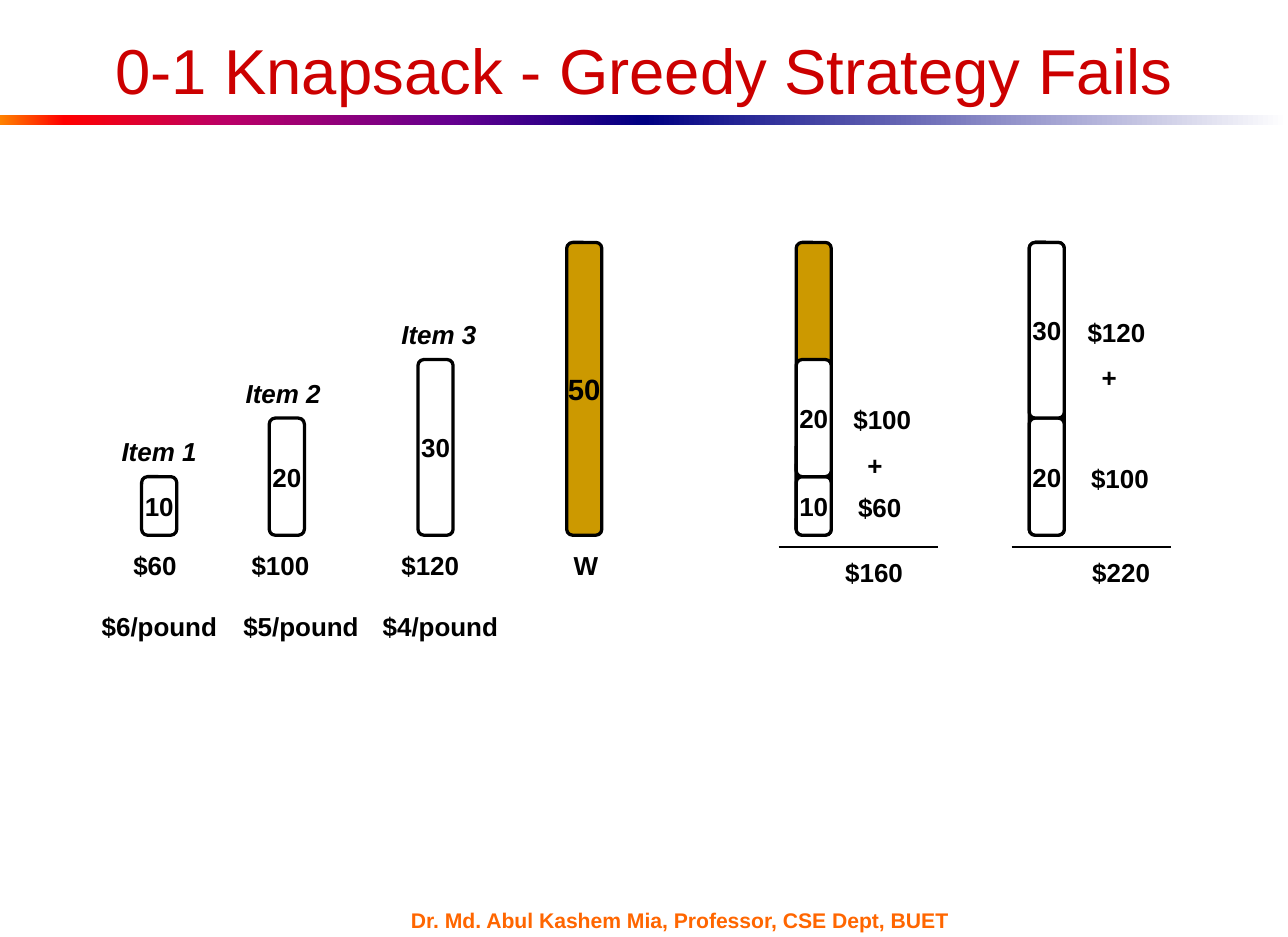
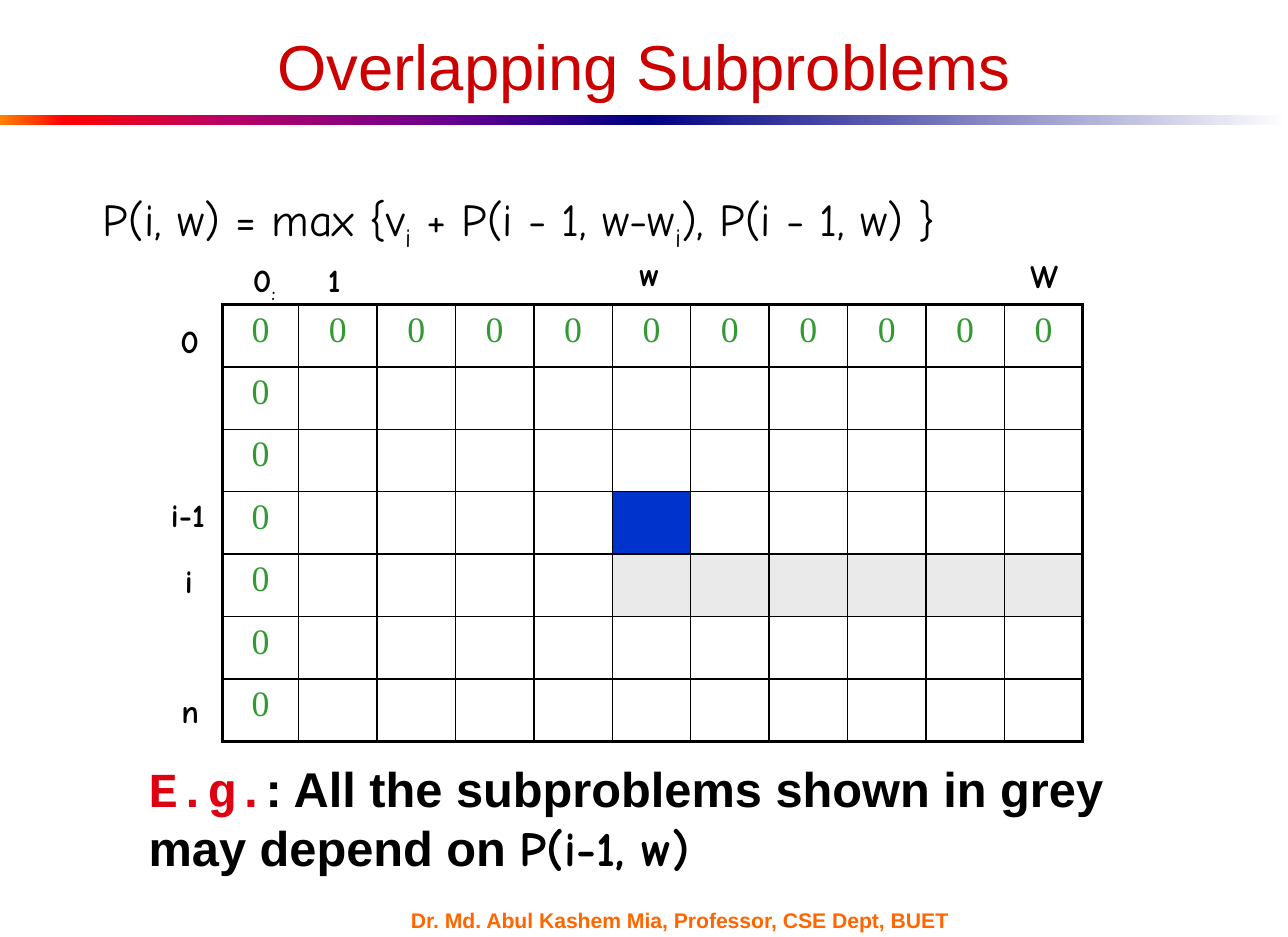
from dataclasses import dataclass

from lxml import etree
from pptx import Presentation
from pptx import util as u
from pptx.dml.color import RGBColor
from pptx.enum import shapes, text
from pptx.oxml import ns


@dataclass(frozen=True)
class Theme:
    sans: str = "Arial"
    hand: str = "Comic Neue"
    serif: str = "Times New Roman"
    mono: str = "Courier New"
    title: str = "CC0000"
    footer: str = "FF6600"
    ink: str = "000000"
    paper: str = "FFFFFF"
    gold: str = "CC9900"
    blue: str = "0033CC"
    grey: str = "EAEAEA"
    green: str = "339933"
    red: str = "DD0111"
    title_size: int = 39
    example_size: int = 30
    formula_size: int = 28
    cell_size: int = 22
    index_size: int = 20
    capacity_size: int = 18
    label_size: int = 16
    footer_size: int = 13


THEME = Theme()
WIDTH, HEIGHT = 11, 8
FOOTER = "Dr. Md. Abul Kashem Mia, Professor, CSE Dept, BUET"
BAND_HALVES = [
    [(0, "FF8200"), (10, "FF0000"), (35, "BA0066"), (70, "66008F"), (100, "000082")],
    [(0, "000082"), (100, "FFFFFF")],
]

# Slide 1: bars are drawn to scale, standing on one floor line.
FLOOR, BAR_WIDTH, INCHES_PER_POUND = 4.57, 0.3, 0.05
CAPACITY = 50
CAPACITY_LEFT = 4.84
# weight, bar left, then (text, left) for the name, value and rate
ITEMS = [
    (10, 1.21, ("Item 1", 0.94), ("$60", 1.04), ("$6/pound", 0.77)),
    (20, 2.3, ("Item 2", 2.0), ("$100", 2.05), ("$5/pound", 1.98)),
    (30, 3.57, ("Item 3", 3.33), ("$120", 3.33), ("$4/pound", 3.17)),
]
# bar left, (total, left), then (weight, value, value left) from the floor up
KNAPSACKS = [
    (6.8, ("$160", 7.12), [(10, "$60", 7.23), (20, "$100", 7.19)]),
    (8.79, ("$220", 9.23), [(20, "$100", 9.22), (30, "$120", 9.19)]),
]

# Slide 2: text pieces are (text, font, colour, is subscript).
FORMULA = [
    (piece, THEME.hand, THEME.ink, piece == "i")
    for piece in ("P(i, w) = max {v", "i", " + P(i - 1, w-w", "i", "), P(i - 1, w) }")
]
EXAMPLE = [
    ("E.g.", THEME.mono, THEME.red, False),
    (": All the subproblems shown in grey may depend on ", THEME.sans, THEME.ink, False),
    ("P(i-1, w)", THEME.hand, THEME.ink, False),
]
CORNER_INDEX = [("0", THEME.hand, THEME.ink, False), (":", THEME.hand, THEME.ink, True)]
INDICES = [
    (CORNER_INDEX, 2.05, 2.17), ("1", 2.69, 2.17), ("w", 5.35, 2.12), ("W", 8.69, 2.14),
    ("0", 1.43, 2.69), ("i-1", 1.35, 4.18), ("i", 1.47, 4.74), ("n", 1.44, 5.85),
]
GRID_LEFT, GRID_TOP, ROWS, ROW_HEIGHT = 1.9, 2.6, 7, 3.73 / 7
COLUMNS = [0.65] + [0.67] * 10
SOURCE_ROW, SOURCE_COLUMN = 3, 5
THIN, THICK = 1, 2.25


def rgb(value):
    return RGBColor.from_string(value)


def set_font(font, size, name=THEME.sans, color=THEME.ink, bold=True, italic=False):
    font.size, font.name = u.Pt(size), name
    font.bold, font.italic = bold, italic
    font.color.rgb = rgb(color)


def add_text(slide, content, left, top, width, height, size, inset=0.1, **style):
    """Add a text box; content is a string or a list of text pieces."""
    box = slide.shapes.add_textbox(*map(u.Inches, (left, top, width, height)))
    frame = box.text_frame
    frame.word_wrap = True
    frame.margin_left = frame.margin_right = u.Inches(inset)
    paragraph = frame.paragraphs[0]
    if isinstance(content, str):
        paragraph.text = content
        set_font(paragraph.font, size, **style)
        return frame
    for piece, name, color, subscript in content:
        run = paragraph.add_run()
        run.text = piece
        set_font(run.font, size, name=name, color=color, **style)
        if subscript:
            run._r.get_or_add_rPr().set("baseline", "-25000")
    return frame


def add_label(slide, content, left, top, **style):
    return add_text(slide, content, left, top, 1.3, 0.37, THEME.label_size, **style)


def add_box(slide, kind, left, top, width, height, color=None, line=None):
    shape = slide.shapes.add_shape(kind, *map(u.Inches, (left, top, width, height)))
    shape.shadow.inherit = False
    if color:
        shape.fill.solid()
        shape.fill.fore_color.rgb = rgb(color)
    if line:
        shape.line.color.rgb = rgb(THEME.ink)
        shape.line.width = u.Pt(line)
    else:
        shape.line.fill.background()
    return shape


def add_bar(slide, weight, left, floor=FLOOR, color=THEME.paper, caption="",
            size=THEME.label_size):
    """Stand a bar on the floor and return its top."""
    height = weight * INCHES_PER_POUND
    bar = add_box(slide, shapes.MSO_SHAPE.ROUNDED_RECTANGLE, left, floor - height,
                  BAR_WIDTH, height, color, line=2)
    bar.adjustments[0] = 0.17
    frame = bar.text_frame
    frame.word_wrap = False
    frame.margin_left = frame.margin_right = 0
    frame.vertical_anchor = text.MSO_ANCHOR.MIDDLE
    paragraph = frame.paragraphs[0]
    paragraph.text = caption
    paragraph.alignment = text.PP_ALIGN.CENTER
    set_font(paragraph.font, size)
    return floor - height


def add_band(slide):
    half = WIDTH / 2
    for index, stops in enumerate(BAND_HALVES):
        shape = add_box(slide, shapes.MSO_SHAPE.RECTANGLE, index * half, 0.98, half, 0.09)
        shape.fill.gradient()
        shape.fill.gradient_angle = 0
        stop_list = shape._element.spPr.find(".//" + ns.qn("a:gsLst"))
        for stop in list(stop_list):
            stop_list.remove(stop)
        for percent, color in stops:
            stop = etree.SubElement(stop_list, ns.qn("a:gs"), pos=str(percent * 1000))
            etree.SubElement(stop, ns.qn("a:srgbClr"), val=color)


def add_slide(presentation, title, title_top):
    slide = presentation.slides.add_slide(presentation.slide_layouts[6])
    add_band(slide)
    footer = add_text(slide, FOOTER, 3.4, 7.76, 5.13, 0.19, THEME.footer_size,
                      inset=0.11, color=THEME.footer)
    footer.vertical_anchor = text.MSO_ANCHOR.MIDDLE
    heading = add_text(slide, title, WIDTH * 0.05, title_top, WIDTH * 0.9, 0.54,
                       THEME.title_size, color=THEME.title, bold=False)
    heading.paragraphs[0].alignment = text.PP_ALIGN.CENTER
    return slide


def add_sum_line(slide, left, top, length):
    line = slide.shapes.add_connector(
        shapes.MSO_CONNECTOR.STRAIGHT, *map(u.Inches, (left, top, left + length, top)))
    line.line.color.rgb = rgb(THEME.ink)
    line.line.width = u.Pt(0.75)
    etree.SubElement(line._element.spPr, ns.qn("a:effectLst"))


def add_plus(frame):
    paragraph = frame.add_paragraph()
    paragraph.text = "+"
    paragraph.space_before = u.Pt(9)
    paragraph._p.get_or_add_pPr().set("marL", str(u.Inches(0.12)))
    set_font(paragraph.font, THEME.label_size)


def build_greedy(presentation):
    slide = add_slide(presentation, "0-1 Knapsack - Greedy Strategy Fails", 0.22)
    for weight, left, (name, name_left), value, rate in ITEMS:
        top = add_bar(slide, weight, left, caption=str(weight))
        add_label(slide, name, name_left, top - 0.4, italic=True)
        for (caption, caption_left), caption_top in ((value, 4.64), (rate, 5.16)):
            add_label(slide, caption, caption_left, caption_top)

    add_bar(slide, CAPACITY, CAPACITY_LEFT, color=THEME.gold, caption=str(CAPACITY),
            size=THEME.capacity_size)
    add_label(slide, "W", 4.8, 4.64)

    for left, (total, total_left), load in KNAPSACKS:
        add_bar(slide, CAPACITY, left, color=THEME.gold)
        floor = FLOOR
        for weight, value, value_left in load:
            top = add_bar(slide, weight, left, floor, caption=str(weight))
            frame = add_label(slide, value, value_left, (top + floor) / 2 - 0.17)
            if floor < FLOOR:
                add_plus(frame)
            floor = top
        add_sum_line(slide, left - 0.15, FLOOR + 0.1, 1.36)
        add_label(slide, total, total_left, FLOOR + 0.13)


def set_borders(cell, widths):
    properties = cell._tc.get_or_add_tcPr()
    for index, (side, width) in enumerate(widths.items()):
        line = etree.Element(ns.qn(f"a:ln{side}"), w=str(u.Pt(width)))
        fill = etree.SubElement(line, ns.qn("a:solidFill"))
        etree.SubElement(fill, ns.qn("a:srgbClr"), val=THEME.ink)
        properties.insert(index, line)


def add_grid(slide):
    frame = slide.shapes.add_table(
        ROWS, len(COLUMNS),
        *map(u.Inches, (GRID_LEFT, GRID_TOP, sum(COLUMNS), ROWS * ROW_HEIGHT)))
    table = frame.table
    table.first_row = table.horz_banding = False
    for column, width in zip(table.columns, COLUMNS):
        column.width = u.Inches(width)
    last_row, last_column = ROWS - 1, len(COLUMNS) - 1
    for row in range(ROWS):
        for column in range(len(COLUMNS)):
            cell = table.cell(row, column)
            if row == SOURCE_ROW + 1 and column >= SOURCE_COLUMN:
                cell.fill.solid()
                cell.fill.fore_color.rgb = rgb(THEME.grey)
            else:
                cell.fill.background()
            if row == 0 or column == 0:
                paragraph = cell.text_frame.paragraphs[0]
                paragraph.text = "0"
                paragraph.alignment = text.PP_ALIGN.CENTER
                set_font(paragraph.font, THEME.cell_size, THEME.serif, THEME.green, bold=False)
            set_borders(cell, {
                "L": THICK if column == 0 else THIN,
                "R": THICK if column == last_column else THIN,
                "T": THICK if row == 0 else THIN,
                "B": THICK if row == last_row else THIN,
            })


def build_overlap(presentation):
    slide = add_slide(presentation, "Overlapping Subproblems", 0.18)
    add_box(slide, shapes.MSO_SHAPE.RECTANGLE,
            GRID_LEFT + sum(COLUMNS[:SOURCE_COLUMN]), GRID_TOP + SOURCE_ROW * ROW_HEIGHT,
            COLUMNS[SOURCE_COLUMN], ROW_HEIGHT, THEME.blue, line=0.75)
    add_grid(slide)
    for index, left, top in INDICES:
        pieces = [(index, THEME.hand, THEME.ink, False)] if isinstance(index, str) else index
        add_text(slide, pieces, left, top, 0.65, 0.44, THEME.index_size, inset=0.11)
    add_text(slide, FORMULA, 0.77, 1.58, 9.5, 0.6, THEME.formula_size, inset=0.11, bold=False)
    add_text(slide, EXAMPLE, 1.16, 6.43, 9.16, 1.12, THEME.example_size, inset=0.11)


def main():
    presentation = Presentation()
    presentation.slide_width, presentation.slide_height = u.Inches(WIDTH), u.Inches(HEIGHT)
    build_greedy(presentation)
    build_overlap(presentation)
    presentation.save("out.pptx")


if __name__ == "__main__":
    main()
